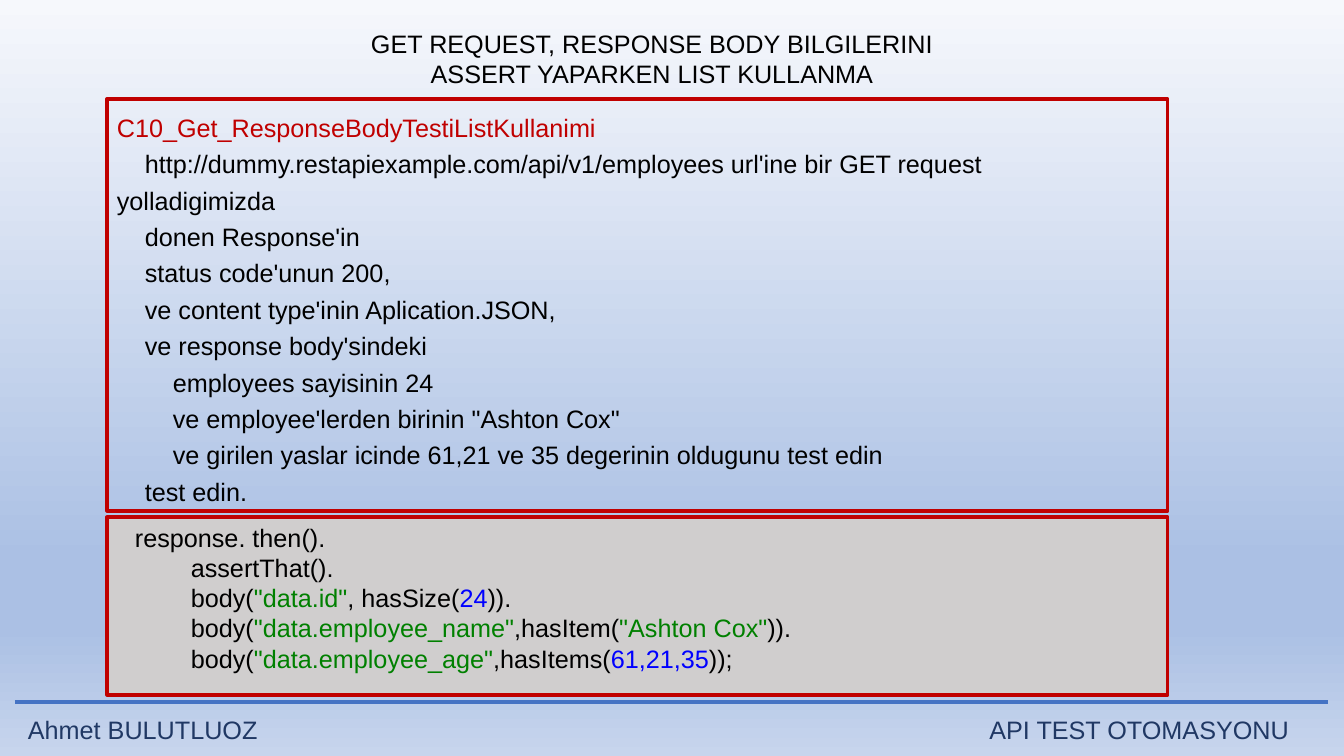
import pptx
import pptx.dml.color
import pptx.enum.shapes
import pptx.enum.text
import pptx.oxml.ns
import pptx.util
from lxml import etree

RGB = pptx.dml.color.RGBColor
BLACK = RGB(0x00, 0x00, 0x00)
RED = RGB(0xC0, 0x00, 0x00)
GREEN = RGB(0x00, 0x80, 0x00)
BLUE = RGB(0x00, 0x00, 0xFF)
NAVY = RGB(0x20, 0x38, 0x64)
RULE = RGB(0x44, 0x72, 0xC4)
GREY = RGB(0xD0, 0xCE, 0xCE)
SKY = [(0, RGB(0xF6, 0xF8, 0xFC)), (74, RGB(0xAB, 0xC0, 0xE4)),
       (83, RGB(0xAB, 0xC0, 0xE4)), (100, RGB(0xC7, 0xD5, 0xED))]

ALIGN = pptx.enum.text.PP_ALIGN
WIDTH, HEIGHT = 1344, 756
INDENT = 28

TITLE = "GET REQUEST, RESPONSE BODY BILGILERINI ASSERT YAPARKEN LIST KULLANMA"
# Each task line: indent level, text, colour
TASK = [
    (0, "C10_Get_ResponseBodyTestiListKullanimi", RED),
    (1, "http://dummy.restapiexample.com/api/v1/employees url'ine bir GET request yolladigimizda", BLACK),
    (1, "donen Response'in", BLACK),
    (1, "status code'unun 200,", BLACK),
    (1, "ve content type'inin Aplication.JSON,", BLACK),
    (1, "ve response body'sindeki", BLACK),
    (2, "employees sayisinin 24", BLACK),
    (2, "ve employee'lerden birinin \"Ashton Cox\"", BLACK),
    (2, "ve girilen yaslar icinde 61,21 ve 35 degerinin oldugunu test edin", BLACK),
    (1, "test edin.", BLACK),
]
CODE = [
    [("response. then().", BLACK)],
    [("        assertThat().", BLACK)],
    [("        body(", BLACK), ("\"data.id\"", GREEN), (", hasSize(", BLACK),
     ("24", BLUE), (")).", BLACK)],
    [("        body(", BLACK), ("\"data.employee_name\"", GREEN), (",hasItem(", BLACK),
     ("\"Ashton Cox\"", GREEN), (")).", BLACK)],
    [("        body(", BLACK), ("\"data.employee_age\"", GREEN), (",hasItems(", BLACK),
     ("61,21,35", BLUE), ("));", BLACK)],
]


def px(length):
    return pptx.util.Emu(round(length * 914400 / 100.8))


def add_runs(para, runs):
    for text, color in runs:
        span = para.add_run()
        span.text = text
        span.font.name = "Arial"
        span.font.size = pptx.util.Pt(18)
        span.font.color.rgb = color


def prepare(frame):
    frame.word_wrap = True
    frame.auto_size = pptx.enum.text.MSO_AUTO_SIZE.NONE
    frame.vertical_anchor = pptx.enum.text.MSO_ANCHOR.TOP


def add_text(page, left, top, width, height, lines, align=ALIGN.LEFT):
    """Add a text box with one paragraph per list of runs; return its paragraphs."""
    frame = page.shapes.add_textbox(px(left), px(top), px(width), px(height)).text_frame
    prepare(frame)
    for number, runs in enumerate(lines):
        para = frame.add_paragraph() if number else frame.paragraphs[0]
        para.alignment = align
        add_runs(para, runs)
    return frame.paragraphs


def add_frame(page, left, top, width, height, fill=None):
    box = page.shapes.add_shape(pptx.enum.shapes.MSO_SHAPE.RECTANGLE,
                                px(left), px(top), px(width), px(height))
    box.shadow.inherit = False
    if fill is None:
        box.fill.background()
    else:
        box.fill.solid()
        box.fill.fore_color.rgb = fill
    box.line.color.rgb = RED
    box.line.width = pptx.util.Pt(2.25)


def paint_background(page):
    fill = page.background.fill
    fill.gradient()
    fill.gradient_angle = 270
    qn = pptx.oxml.ns.qn
    stops = next(page.element.iter(qn("a:gsLst")))
    for stop in list(stops):
        stops.remove(stop)
    for position, color in SKY:
        stop = etree.SubElement(stops, qn("a:gs"), pos=str(position * 1000))
        etree.SubElement(stop, qn("a:srgbClr"), val=str(color))


def add_title(page, left, top, width, height):
    title = page.shapes.title
    title.left, title.top = px(left), px(top)
    title.width, title.height = px(width), px(height)
    prepare(title.text_frame)
    para = title.text_frame.paragraphs[0]
    para.alignment = ALIGN.CENTER
    add_runs(para, [(TITLE, BLACK)])


def add_task(page, left, top, width, height):
    paras = add_text(page, left, top + 2, width - 26, height - 2,
                     [[(text, color)] for level, text, color in TASK])
    for para, (level, text, color) in zip(paras, TASK):
        para.line_spacing = pptx.util.Pt(26)
        properties = para._p.get_or_add_pPr()
        properties.set("marL", "0")
        properties.set("indent", str(px(level * INDENT)))
    add_frame(page, left, top, width, height)


def add_code(page, left, top, width, height):
    add_frame(page, left, top, width, height, GREY)
    add_text(page, left + 18, top, width - 168, height - 14, CODE)


def add_footer(page, left, top, width, height):
    rule = page.shapes.add_connector(pptx.enum.shapes.MSO_CONNECTOR.STRAIGHT,
                                     px(left), px(top), px(left + width), px(top))
    rule.line.color.rgb = RULE
    rule.line.width = pptx.util.Pt(2.25)
    etree.SubElement(rule._element.spPr, pptx.oxml.ns.qn("a:effectLst"))
    add_text(page, left + 3, top + 7, 400, height - 7, [[("Ahmet BULUTLUOZ", NAVY)]])
    add_text(page, left + width - 429, top + 7, 400, height - 7,
             [[("API TEST OTOMASYONU", NAVY)]], ALIGN.RIGHT)


def main():
    deck = pptx.Presentation()
    deck.slide_width, deck.slide_height = px(WIDTH), px(HEIGHT)
    page = deck.slides.add_slide(deck.slide_layouts.get_by_name("Title Only"))
    paint_background(page)
    add_footer(page, 15, 702, 1313, 47)
    add_task(page, 107, 99, 1061, 412)
    add_title(page, 329, 23, 646, 72)
    add_code(page, 107, 517, 1061, 178)
    deck.save("out.pptx")


if __name__ == "__main__":
    main()
